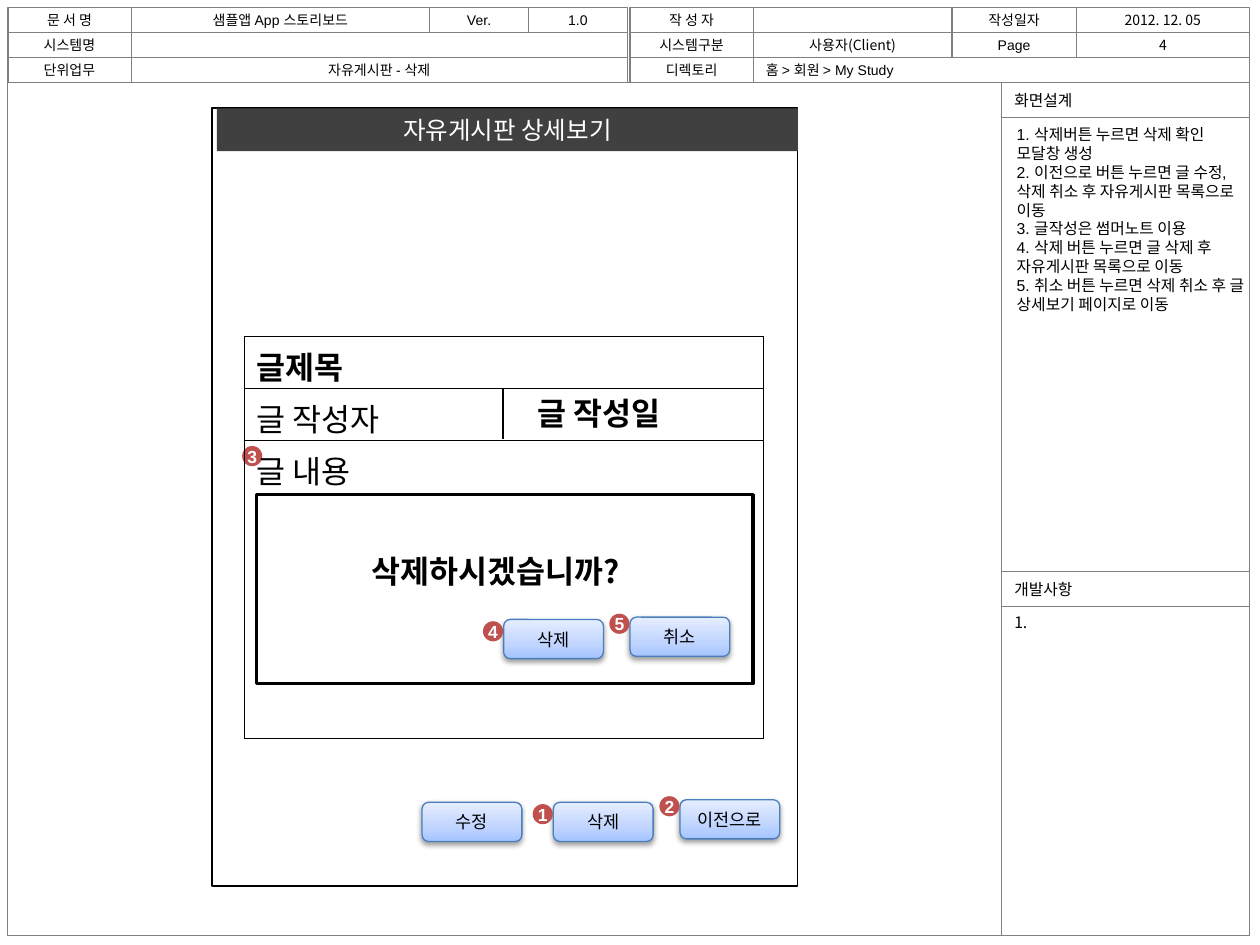
from copy import deepcopy
from dataclasses import dataclass

from lxml import etree
from pptx import Presentation
from pptx.dml.color import RGBColor
from pptx.enum.shapes import MSO_CONNECTOR, MSO_SHAPE
from pptx.enum.text import MSO_ANCHOR, MSO_AUTO_SIZE, PP_ALIGN
from pptx.oxml import parse_xml
from pptx.oxml.ns import nsdecls, qn
from pptx.util import Pt

RECT, ROUND, OVAL = MSO_SHAPE.RECTANGLE, MSO_SHAPE.ROUNDED_RECTANGLE, MSO_SHAPE.OVAL
LINE = MSO_CONNECTOR.STRAIGHT
LEFT, MID = PP_ALIGN.LEFT, PP_ALIGN.CENTER
TOP, CENTER = MSO_ANCHOR.TOP, MSO_ANCHOR.MIDDLE
FIXED = MSO_AUTO_SIZE.NONE


@dataclass(frozen=True)
class Theme:
    """Colours, fonts and type sizes."""
    latin: str = "Arial"
    hangul: str = "Noto Sans CJK KR"
    black: str = "000000"
    white: str = "FFFFFF"
    grey: str = "808080"
    dark: str = "404040"
    red: str = "C0504D"
    edge: str = "4B7EBC"
    glow: tuple = ((0, "A4C4FF"), (0.35, "BFD4FF"), (1, "E6EEFF"))
    cell: int = 8
    note: int = 9
    label: int = 10
    bar: int = 14
    big: int = 18


class Board:
    """Draws storyboard parts on one slide."""

    def __init__(self, slide, theme):
        self.slide, self.theme = slide, theme

    def label(self, frame, text, size, color=None, align=MID, anchor=CENTER,
              font=None, bold=False, lead=None):
        frame.auto_size, frame.word_wrap = FIXED, True
        frame.vertical_anchor = anchor
        frame.text = text
        self.style(frame, size, color, align, font, bold, lead)

    def style(self, frame, size, color, align, font, bold, lead=None):
        for para in frame.paragraphs:
            para.alignment = align
            para.space_before = Pt(0)
            if lead:
                para.line_spacing = Pt(lead)
            for run in para.runs:
                run.font.name = font or self.theme.latin
                run.font.size, run.font.bold = Pt(size), bold
                run.font.color.rgb = RGBColor.from_string(color or self.theme.black)
                east = etree.Element(qn("a:ea"), typeface=self.theme.hangul)
                run.font._element.find(qn("a:latin")).addnext(east)

    def fill(self, shape, color):
        if color:
            shape.fill.solid()
            shape.fill.fore_color.rgb = RGBColor.from_string(color)
        else:
            shape.fill.background()

    def shape(self, kind, box, fill=None, line=None, width=0.75):
        item = self.slide.shapes.add_shape(kind, *map(Pt, box))
        item.shadow.inherit = False
        self.fill(item, fill)
        if line:
            item.line.color.rgb = RGBColor.from_string(line)
            item.line.width = Pt(width)
        else:
            item.line.fill.background()
        return item

    def cell(self, box, text="", size=None, **style):
        item = self.shape(RECT, box, line=self.theme.grey)
        if text:
            self.label(item.text_frame, text, size or self.theme.cell, **style)

    def text(self, box, text, size, **style):
        item = self.slide.shapes.add_textbox(*map(Pt, box))
        self.label(item.text_frame, text, size, **style)

    def holder(self, item, box, text, size, fill=None, **style):
        item.left, item.top, item.width, item.height = map(Pt, box)
        self.fill(item, fill)
        self.label(item.text_frame, text, size, **style)
        for para in item.text_frame.paragraphs:
            props = para._p.get_or_add_pPr()
            props.set("marL", "0")
            props.set("indent", "0")
            etree.SubElement(props, qn("a:buNone"))
        item.element.getparent().append(item.element)

    def button(self, left, top, text):
        item = self.shape(ROUND, (left, top, 57, 22.4), line=self.theme.edge)
        item.fill.gradient()
        item.fill.gradient_angle = 90
        stops = item.element.spPr.find(".//" + qn("a:gsLst"))
        stops.insert(1, deepcopy(stops[0]))
        for stop, (place, color) in zip(item.fill.gradient_stops, self.theme.glow):
            stop.position = place
            stop.color.rgb = RGBColor.from_string(color)
        item.element.spPr.find(qn("a:effectLst")).append(parse_xml(
            f'<a:outerShdw {nsdecls("a")} blurRad="{Pt(3.1)}" dist="{Pt(1.6)}" '
            'dir="5400000" rotWithShape="0"><a:srgbClr val="000000">'
            '<a:alpha val="38000"/></a:srgbClr></a:outerShdw>'))
        self.label(item.text_frame, text, self.theme.label, font=self.theme.hangul)

    def badge(self, left, top, text):
        item = self.shape(OVAL, (left, top, 11.5, 11.5), self.theme.red)
        frame = item.text_frame
        frame.margin_left = frame.margin_right = frame.margin_top = frame.margin_bottom = 0
        self.label(frame, text, self.theme.label, self.theme.white, bold=True)
        frame.word_wrap = False

    def line(self, start, end):
        item = self.slide.shapes.add_connector(LINE, *map(Pt, start + end))
        item.line.color.rgb = RGBColor.from_string(self.theme.black)
        item.line.width = Pt(0.75)
        etree.SubElement(item.element.spPr, qn("a:effectLst"))

    def table(self, box, rows):
        table = self.slide.shapes.add_table(len(rows), 1, *map(Pt, box)).table
        table.first_row = table.horz_banding = False
        for index, (text, height, bold) in enumerate(rows):
            table.rows[index].height = Pt(height)
            cell = table.cell(index, 0)
            cell.margin_bottom = 0
            cell.text = text
            self.style(cell.text_frame, self.theme.big, None, LEFT, self.theme.hangul, bold)
            props = cell._tc.get_or_add_tcPr()
            for side in ("lnL", "lnR", "lnT", "lnB"):
                props.append(parse_xml(
                    f'<a:{side} {nsdecls("a")} w="{Pt(1)}"><a:solidFill>'
                    f'<a:srgbClr val="{self.theme.black}"/></a:solidFill></a:{side}>'))
            cell.fill.background()


theme = Theme()
deck = Presentation()
deck.slide_width, deck.slide_height = Pt(720), Pt(540)
slide = deck.slides.add_slide(deck.slide_layouts[1])
title, notes = slide.shapes.title, slide.placeholders[1]
board = Board(slide, theme)

noto = {"font": theme.hangul}
HEAD = (
    ((4.5, 75, "문 서 명", {}), (75, 245.5, "샘플앱 App 스토리보드", {}),
     (245.5, 302, "Ver.", {}), (302, 358.5, "1.0", {}), (360, 430.5, "작 성 자", {}),
     (430.5, 544, "", {}), (544, 615, "작성일자", {}), (615, 714, "2012. 12. 05", noto)),
    ((4.5, 75, "시스템명", {}), (75, 358.5, "", {}), (360, 430.5, "시스템구분", {}),
     (430.5, 544, "사용자(Client)", noto), (544, 615, "Page", {}), (615, 714, "4", noto)),
    ((4.5, 75, "단위업무", {}), (75, 358.5, "자유게시판 - 삭제", {}),
     (360, 430.5, "디렉토리", {}), (430.5, 714, "홈 > 회원 > My Study", {"align": LEFT})),
)
ROW = 14.17
for index, row in enumerate(HEAD):
    for left, right, text, style in row:
        board.cell((left, 4.5 + index * ROW, right - left, ROW), text, **style)

board.cell((4.5, 47, 568, 487.5))
SIDE = ((47, 67, "화면설계", {}), (67, 326.5, "", {}), (326.5, 346.5, "개발사항", {}),
        (346.5, 534.5, "1.", {"anchor": TOP, "font": theme.hangul}))
for top, base, text, style in SIDE:
    board.cell((572.5, top, 141.5, base - top), text, theme.note, align=LEFT, **style)

NOTES = (
    "1. 삭제버튼 누르면 삭제 확인 모달창 생성",
    "2. 이전으로 버튼 누르면 글 수정, 삭제 취소 후 자유게시판 목록으로 이동",
    "3. 글작성은 썸머노트 이용",
    "4. 삭제 버튼 누르면 글 삭제 후 자유게시판 목록으로 이동",
    "5. 취소 버튼 누르면 삭제 취소 후 글 상세보기 페이지로 이동",
)
board.holder(notes, (573.8, 67.7, 146, 117), "\n".join(NOTES), theme.note,
             align=LEFT, anchor=TOP, lead=10.8)

board.shape(RECT, (121.2, 61.7, 334.6, 444.5), theme.white, theme.black, 1)
board.holder(title, (124, 61.9, 332, 24.4), "자유게시판 상세보기", theme.bar,
             fill=theme.dark, color=theme.white)

board.shape(RECT, (146.7, 282.7, 283.5, 108), line=theme.black, width=2)
board.text((205.2, 311.8, 170, 28.8), "삭제하시겠습니까?", theme.big,
           align=LEFT, font=theme.hangul, bold=True)

BUTTONS = ((241.2, 458.5, "수정", "", 0), (316.2, 458.5, "삭제", "1", 1),
           (388.6, 457, "이전으로", "2", -2), (287.8, 354, "삭제", "4", 1),
           (360, 352.7, "취소", "5", -2))
for left, top, text, mark, shift in BUTTONS:
    board.button(left, top, text)
    if mark:
        board.badge(left - 11.8, top + shift, mark)
board.badge(138.4, 254.9, "3")

board.table((139.6, 192.3, 296.8, 229),
            (("글제목", 29.4, True), ("글 작성자", 29.2, False), ("글 내용", 170.4, False)))
board.line((287.5, 221.7), (287.5, 250.9))
board.text((300, 221.7, 108, 28.8), "글 작성일", theme.big,
           align=LEFT, font=theme.hangul, bold=True)

deck.save("out.pptx")
